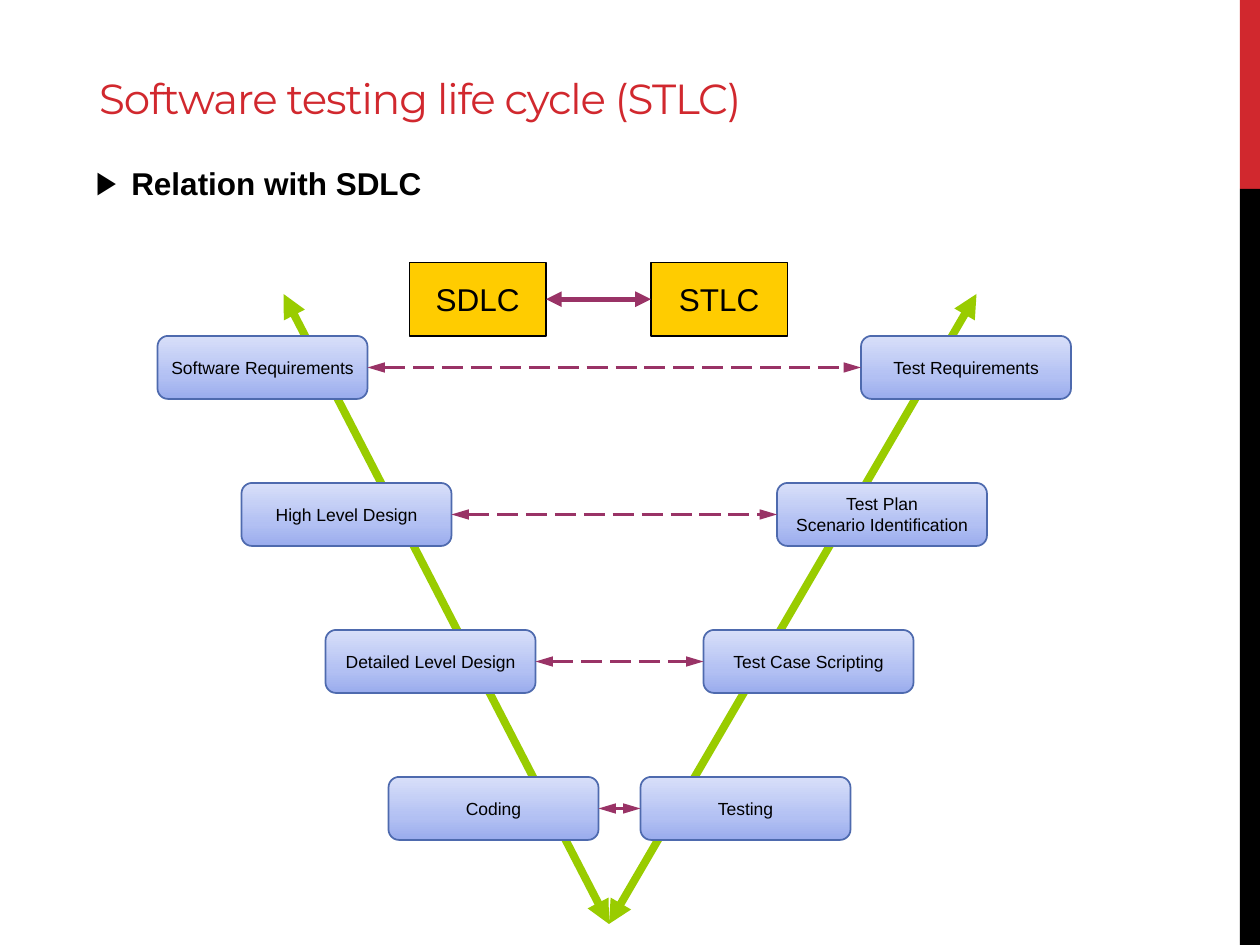
from copy import deepcopy
from lxml.etree import SubElement as Sub
from pptx import Presentation
from pptx.dml.color import RGBColor
from pptx.enum.dml import MSO_LINE as Dash
from pptx.enum.shapes import MSO_CONNECTOR as Wire, MSO_SHAPE as Form
from pptx.enum.text import MSO_ANCHOR as Anchor, MSO_AUTO_SIZE as Fit, PP_ALIGN as Align
from pptx.oxml.ns import qn
from pptx.util import Pt


def paint(hue):
    return RGBColor.from_string(hue)


def assign(item, vals):
    for key, val in vals.items():
        setattr(item, key, val)


class Deck:
    red, black, gold = "D1282E", "000000", "FFCC00"
    plum, lime, edge = "993366", "99CC00", "4E6AAE"
    stops = [(0, "9AACED"), (0.35, "B2C0F3"), (1, "D8DFF9")]
    small = {"size": Pt(10), "name": "Arial"}
    large = {"size": Pt(18), "name": "Arial"}
    bold = {"size": Pt(18), "name": "Arial", "bold": True}
    head = {"size": Pt(24), "name": "Montserrat", "bold": False}

    def __init__(self):
        self.show = Presentation()
        assign(self.show, {"slide_width": Pt(720), "slide_height": Pt(540)})
        self.slide = self.show.slides.add_slide(self.show.slide_layouts[1])
        self.shapes = self.slide.shapes

    def words(self, frame, text, font, hue, align):
        frame.text = text
        for para in frame.paragraphs:
            para.alignment = align
            for run in para.runs:
                assign(run.font, font)
                run.font.color.rgb = paint(hue)

    def place(self, item, x, y, w, h):
        assign(item, {"left": Pt(x), "top": Pt(y), "width": Pt(w), "height": Pt(h)})

    def title(self, text, box):
        item = self.shapes.title
        self.place(item, *box)
        frame = item.text_frame
        self.words(frame, text, self.head, self.red, Align.LEFT)
        assign(frame, {"vertical_anchor": Anchor.BOTTOM, "margin_bottom": Pt(32),
                       "auto_size": Fit.NONE})
        frame.paragraphs[0].runs[0].font._element.set("spc", "-60")

    def body(self, text, box):
        item = self.slide.placeholders[1]
        self.place(item, *box)
        frame = item.text_frame
        self.words(frame, text, self.bold, self.black, Align.LEFT)
        assign(frame, {"vertical_anchor": Anchor.TOP, "auto_size": Fit.NONE})
        para = frame.paragraphs[0]
        para.space_before = Pt(3.6)
        props = para._p.get_or_add_pPr()
        props.set("marL", str(Pt(28.8)))
        props.set("indent", str(Pt(-20.2)))
        Sub(props, qn("a:buFont"), typeface="Arial")
        Sub(props, qn("a:buChar"), char="▶")

    def shape(self, form, x, y, w, h):
        item = self.shapes.add_shape(form, Pt(x), Pt(y), Pt(w), Pt(h))
        item.shadow.inherit = False
        return item

    def bar(self, hue, *box):
        item = self.shape(Form.RECTANGLE, *box)
        item.fill.solid()
        item.fill.fore_color.rgb = paint(hue)
        item.line.fill.background()
        return item

    def border(self, item, hue, width):
        item.line.color.rgb = paint(hue)
        item.line.width = Pt(width)

    def label(self, item, text, font):
        self.words(item.text_frame, text, font, self.black, Align.CENTER)
        assign(item.text_frame, {"vertical_anchor": Anchor.MIDDLE, "word_wrap": False})

    def cycle(self, text, *box):
        item = self.bar(self.gold, *box)
        self.border(item, self.black, 0.75)
        self.label(item, text, self.large)

    def stage(self, text, *box):
        item = self.shape(Form.ROUNDED_RECTANGLE, *box)
        fill = item.fill
        fill.gradient()
        fill.gradient_angle = 90
        first = fill.gradient_stops[0]._gs
        first.addnext(deepcopy(first))
        for stop, (pos, hue) in zip(fill.gradient_stops, self.stops):
            stop.position = pos
            stop.color.rgb = paint(hue)
        self.border(item, self.edge, 1)
        self.label(item, text, self.small)

    def arrow(self, hue, width, ends, dash=None, size="med"):
        item = self.shapes.add_connector(Wire.STRAIGHT, *map(Pt, ends))
        self.border(item, hue, width)
        if dash:
            item.line.dash_style = dash
        line = item.line._get_or_add_ln()
        for tag in ("a:headEnd", "a:tailEnd"):
            Sub(line, qn(tag), type="triangle", w="med", len=size)
        Sub(item._element.spPr, qn("a:effectLst"))


def main():
    deck = Deck()
    deck.bar(deck.red, 708.5, 0, 11.5, 108)
    deck.bar(deck.black, 708.5, 108, 11.5, 432)
    deck.title("Software testing life cycle (STLC)", (49.5, 36, 442, 66))
    deck.body("Relation with SDLC", (39, 90, 216, 42))
    for x in (162, 558):
        deck.arrow(deck.lime, 4.5, (x, 168, 348, 528))

    wide, high, step = 120, 36, 84
    pairs = [
        (90, "Software Requirements", 492, "Test Requirements"),
        (138, "High Level Design", 444, "Test Plan\nScenario Identification"),
        (186, "Detailed Level Design", 402, "Test Case Scripting"),
        (222, "Coding", 366, "Testing"),
    ]
    for row, (left, build, right, test) in enumerate(pairs):
        y = 192 + row * step
        deck.stage(build, left, y, wide, high)
        deck.stage(test, right, y, wide, high)
        mid = y + high / 2
        deck.arrow(deck.plum, 1.5, (left + wide, mid, right, mid), Dash.LONG_DASH, "lg")

    for x, name in ((234, "SDLC"), (372, "STLC")):
        deck.cycle(name, x, 150, 78, 42)
    deck.arrow(deck.plum, 3, (312, 171, 372, 171))
    deck.show.save("out.pptx")


if __name__ == "__main__":
    main()
